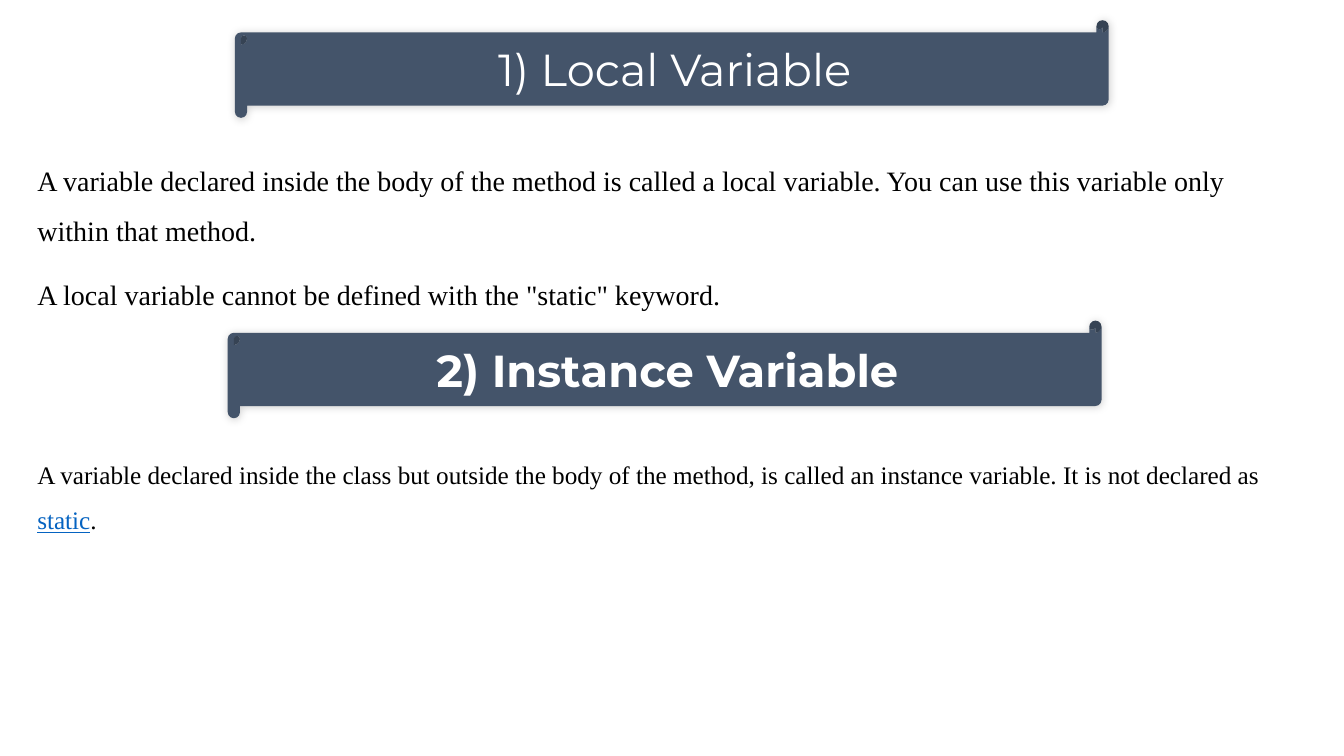
import pptx
import pptx.dml.color
import pptx.enum.shapes
import pptx.enum.text
import pptx.oxml
import pptx.oxml.ns
import pptx.util
from pptx.util import Cm

SHADOW = (
    '<a:effectLst %s><a:outerShdw blurRad="76200" dist="0" dir="13500000">'
    '<a:srgbClr val="000000"><a:alpha val="20000"/></a:srgbClr>'
    '</a:outerShdw></a:effectLst>' % pptx.oxml.ns.nsdecls("a"))


def rgb(value):
    return pptx.dml.color.RGBColor.from_string(value)


def add_text(p, text, font="Times New Roman", size=18, color="000000",
             bold=False, underline=False):
    r = p.add_run()
    r.text = text
    r.font.name = font
    r.font.size = pptx.util.Pt(size)
    r.font.color.rgb = rgb(color)
    r.font.bold = bold
    r.font.underline = underline


class Deck:
    """Style of the lesson and the slide being filled."""
    heading_font = "Montserrat"
    banner_color = "44546A"
    link_color = "0563C1"
    line_spacing = 1.5

    def __init__(self):
        self.prs = pptx.Presentation()
        self.prs.slide_width, self.prs.slide_height = Cm(33.87), Cm(19.05)
        self.s = self.prs.slides.add_slide(self.prs.slide_layouts[1])
        # The headings are banners, so the title placeholder is not needed
        title = self.s.shapes.title
        title.element.getparent().remove(title.element)

    def body(self, left, top, width, height, paragraphs, size):
        sp = self.s.placeholders[1]
        sp.left, sp.top, sp.width, sp.height = left, top, width, height
        tf = sp.text_frame
        tf.auto_size = pptx.enum.text.MSO_AUTO_SIZE.NONE
        for i, text in enumerate(paragraphs):
            p = tf.add_paragraph() if i else tf.paragraphs[0]
            p.line_spacing = self.line_spacing
            p.space_before = pptx.util.Pt(10)
            pPr = p._p.get_or_add_pPr()
            pPr.set("marL", "0")
            pPr.set("indent", "0")
            pPr.append(pptx.oxml.parse_xml(
                "<a:buNone %s/>" % pptx.oxml.ns.nsdecls("a")))
            add_text(p, text, size=size)

    def banner(self, left, top, text, bold=False):
        sp = self.s.shapes.add_shape(
            pptx.enum.shapes.MSO_SHAPE.HORIZONTAL_SCROLL,
            left, top, Cm(22.02), Cm(2.46))
        sp.fill.solid()
        sp.fill.fore_color.rgb = rgb(self.banner_color)
        sp.line.fill.background()
        sp._element.spPr.append(pptx.oxml.parse_xml(SHADOW))
        tf = sp.text_frame
        tf.vertical_anchor = pptx.enum.text.MSO_ANCHOR.MIDDLE
        p = tf.paragraphs[0]
        p.alignment = pptx.enum.text.PP_ALIGN.CENTER
        add_text(p, text, font=self.heading_font, size=32, color="FFFFFF",
                 bold=bold)

    def text_box(self, left, top, width, height, runs):
        tf = self.s.shapes.add_textbox(left, top, width, height).text_frame
        tf.word_wrap = True
        tf.auto_size = pptx.enum.text.MSO_AUTO_SIZE.SHAPE_TO_FIT_TEXT
        p = tf.paragraphs[0]
        p.line_spacing = self.line_spacing
        for text, fmt in runs:
            add_text(p, text, **fmt)


def main():
    deck = Deck()

    # Local variable
    deck.body(Cm(0.69), Cm(3.56), Cm(32.11), Cm(15.21), [
        "A variable declared inside the body of the method is called a local "
        "variable. You can use this variable only within that method.",
        'A local variable cannot be defined with the "static" keyword.',
    ], size=20)
    deck.banner(Cm(5.92), Cm(0.51), "1) Local Variable")

    # Instance variable
    deck.banner(Cm(5.74), Cm(8.08), "2) Instance Variable", bold=True)
    deck.text_box(Cm(0.69), Cm(11.07), Cm(32.49), Cm(2.44), [
        ("A variable declared inside the class but outside the body of the "
         "method, is called an instance variable. It is not declared as ", {}),
        ("static", {"color": deck.link_color, "underline": True}),
        (".", {}),
    ])

    deck.prs.save("out.pptx")


if __name__ == "__main__":
    main()
